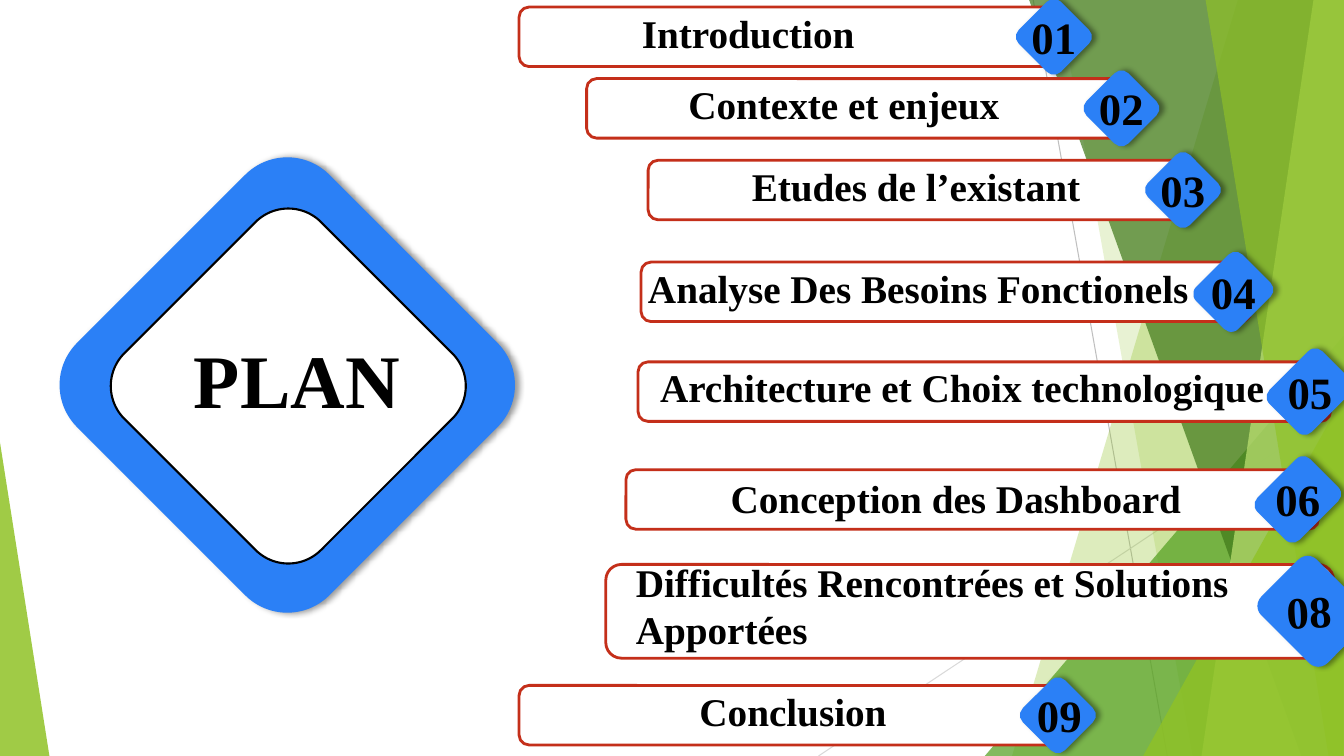
"""Build the agenda slide: a PLAN emblem and eight numbered entries over green panes."""
from dataclasses import dataclass
from typing import Optional

from lxml.etree import SubElement
from pptx import Presentation
from pptx.dml.color import RGBColor
from pptx.enum.shapes import MSO_CONNECTOR, MSO_SHAPE
from pptx.enum.text import MSO_AUTO_SIZE, PP_ALIGN
from pptx.oxml.ns import qn
from pptx.shapes.autoshape import Shape
from pptx.slide import Slide
from pptx.util import Emu, Inches, Pt

COLUMNS, ROWS = 133.33, 75


@dataclass(frozen=True)
class Theme:
    font: str = "Times New Roman"
    ink: str = "000000"
    paper: str = "FFFFFF"
    blue: str = "2B80F6"
    red: str = "C42F1A"
    green: str = "90C226"
    leaf: str = "54A021"
    forest: str = "3F7819"
    lime: str = "C0E474"
    gray: str = "BFBFBF"
    pale_gray: str = "D9D9D9"
    plan_size: int = 54
    number_size: int = 32
    title_size: int = 28


THEME = Theme()


@dataclass(frozen=True)
class Area:
    left: float
    top: float
    width: float
    height: float


@dataclass(frozen=True)
class Ray:
    start: tuple[float, float]
    end: tuple[float, float]
    color: str


@dataclass(frozen=True)
class Pane:
    top_edge: float
    bottom_edge: float
    color: str
    opacity: int


@dataclass(frozen=True)
class Wedge:
    area: Area
    apex: float
    color: str
    opacity: int


@dataclass(frozen=True)
class Entry:
    number: str
    title: str
    plaque: Area
    diamond_left: float
    diamond_width: float
    diamond_height: float
    number_width: float
    title_left: float
    title_width: float
    title_height: float = 5.7
    title_rise: float = 0.3
    wrap: bool = False
    number_shift: float = 0
    number_turn: float = 0


RAYS = (
    Ray((102.5, 0), (115.8, ROWS), THEME.gray),
    Ray((COLUMNS, 40.3), (81.2, ROWS), THEME.pale_gray),
)

BACKDROP = (
    Pane(122.8, 100.4, THEME.green, 30),
    Pane(105, 118.3, THEME.green, 20),
    Wedge(Area(97.7, 33.3, 35.6, 41.7), 1, THEME.leaf, 72),
    Pane(102.1, 129.1, THEME.forest, 70),
    Pane(130.3, 119.2, THEME.lime, 70),
    Pane(119.6, 131.8, THEME.green, 65),
    Wedge(Area(113.4, 39.3, 19.9, 35.7), 1, THEME.green, 80),
    Wedge(Area(0, 43.9, 4.9, 31.1), 0, THEME.green, 85),
)

ENTRIES = (
    Entry("01", "Introduction", Area(51.5, 0.7, 54.6, 5.9),
          101.6, 5.9, 5.9, 8.4, 62.7, 23.4),
    Entry("02", "Contexte et enjeux", Area(58.2, 7.8, 54.6, 5.9),
          108.3, 5.9, 5.9, 8.4, 67.3, 34.2),
    Entry("03", "Etudes de l’existant", Area(64.3, 15.9, 54.6, 5.9),
          114.4, 5.9, 5.9, 8.4, 73.6, 35),
    Entry("04", "Analyse Des Besoins Fonctionels", Area(63.6, 26, 60.5, 5.9),
          119.4, 5.9, 6.5, 9.3, 63.3, 56.2),
    Entry("05", "Architecture et Choix technologique", Area(63.3, 35.9, 68.7, 5.9),
          127, 5.9, 7.4, 10.5, 64.5, 62.6, wrap=True),
    Entry("06", "Conception des Dashboard", Area(62.1, 46.6, 68.7, 5.9),
          125.8, 5.9, 7.4, 10.5, 71.5, 62.6, title_rise=0, wrap=True),
    Entry("08", "Difficultés Rencontrées et Solutions Apportées",
          Area(60.1, 56, 72.2, 9.3), 125.6, 9.3, 7.8, 9.9, 62.1, 62.6,
          title_height=15.1, title_rise=1.1, wrap=True,
          number_shift=-0.4, number_turn=357.1),
    Entry("09", "Conclusion", Area(51.5, 68, 54.6, 5.9),
          102, 5.9, 5.9, 8.4, 68.4, 20.8, number_shift=0.15),
)


def cells(count: float) -> Emu:
    return Inches(count / 10)


def place(area: Area) -> tuple[Emu, Emu, Emu, Emu]:
    return cells(area.left), cells(area.top), cells(area.width), cells(area.height)


def paint(shape: Shape, color: str, opacity: int = 100,
          outline: Optional[str] = None, weight: float = 0) -> None:
    shape.shadow.inherit = False
    shape.fill.solid()
    shape.fill.fore_color.rgb = RGBColor.from_string(color)
    if opacity < 100:
        tint = shape.element.spPr.find(qn("a:solidFill"))[0]
        SubElement(tint, qn("a:alpha"), val=str(opacity * 1000))
    if outline:
        shape.line.color.rgb = RGBColor.from_string(outline)
        shape.line.width = Pt(weight)
    else:
        shape.line.fill.background()


def cast_shadow(shape: Shape) -> None:
    effects = shape.element.spPr.find(qn("a:effectLst"))
    shadow = SubElement(effects, qn("a:outerShdw"), blurRad=str(Pt(4)),
                        dist=str(Pt(3)), dir="0", algn="l", rotWithShape="0")
    tint = SubElement(shadow, qn("a:srgbClr"), val=THEME.ink)
    SubElement(tint, qn("a:alpha"), val="40000")


def add_rounded(page: Slide, area: Area, turn: float = 0) -> Shape:
    shape = page.shapes.add_shape(MSO_SHAPE.ROUNDED_RECTANGLE, *place(area))
    shape.rotation = turn
    return shape


def add_blue_diamond(page: Slide, area: Area) -> None:
    diamond = add_rounded(page, area, 45)
    paint(diamond, THEME.blue)
    cast_shadow(diamond)


def add_label(page: Slide, text: str, area: Area, size: int,
              align: PP_ALIGN = PP_ALIGN.CENTER, wrap: bool = True) -> Shape:
    box = page.shapes.add_textbox(*place(area))
    box.text_frame.text = text
    box.text_frame.word_wrap = wrap
    box.text_frame.auto_size = MSO_AUTO_SIZE.SHAPE_TO_FIT_TEXT
    para = box.text_frame.paragraphs[0]
    para.alignment = align
    for span in para.runs:
        span.font.name = THEME.font
        span.font.size = Pt(size)
        span.font.bold = True
        span.font.color.rgb = RGBColor.from_string(THEME.ink)
    return box


def add_ray(page: Slide, ray: Ray) -> None:
    line = page.shapes.add_connector(
        MSO_CONNECTOR.STRAIGHT, *map(cells, ray.start + ray.end))
    line.line.color.rgb = RGBColor.from_string(ray.color)
    line.line.width = Pt(0.75)
    SubElement(line.element.spPr, qn("a:effectLst"))


def add_backdrop(page: Slide, part: Pane | Wedge) -> None:
    if isinstance(part, Wedge):
        shape = page.shapes.add_shape(MSO_SHAPE.ISOSCELES_TRIANGLE, *place(part.area))
        shape.adjustments[0] = part.apex
    else:
        corners = ((COLUMNS, 0), (COLUMNS, ROWS), (part.bottom_edge, ROWS))
        outline = page.shapes.build_freeform(cells(part.top_edge), 0)
        outline.add_line_segments([(cells(x), cells(y)) for x, y in corners])
        shape = outline.convert_to_shape()
    paint(shape, part.color, part.opacity)


def add_entry(page: Slide, entry: Entry) -> None:
    plaque = entry.plaque
    middle = plaque.top + plaque.height / 2
    center = entry.diamond_left + entry.diamond_width / 2 + entry.number_shift
    paint(add_rounded(page, plaque), THEME.paper, outline=THEME.red, weight=2)
    add_blue_diamond(page, Area(entry.diamond_left, middle - entry.diamond_height / 2,
                                entry.diamond_width, entry.diamond_height))
    number = add_label(page, entry.number, Area(center - entry.number_width / 2, middle - 3.2,
                                                entry.number_width, 6.4), THEME.number_size)
    number.rotation = entry.number_turn
    add_label(page, entry.title, Area(entry.title_left, plaque.top - entry.title_rise,
                                      entry.title_width, entry.title_height),
              THEME.title_size, PP_ALIGN.LEFT, entry.wrap)


def main() -> None:
    deck = Presentation()
    deck.slide_width, deck.slide_height = cells(COLUMNS), cells(ROWS)
    page = deck.slides.add_slide(deck.slide_layouts[6])
    for ray in RAYS:
        add_ray(page, ray)
    for part in BACKDROP:
        add_backdrop(page, part)
    add_blue_diamond(page, Area(10.8, 20.5, 35.4, 35.4))
    paint(add_rounded(page, Area(14.8, 24.5, 27.6, 27.6), 45), THEME.paper,
          outline=THEME.ink, weight=1.5)
    add_label(page, "PLAN", Area(15.7, 32.5, 27.5, 10.1), THEME.plan_size)
    for entry in ENTRIES:
        add_entry(page, entry)
    deck.save("out.pptx")


if __name__ == "__main__":
    main()
